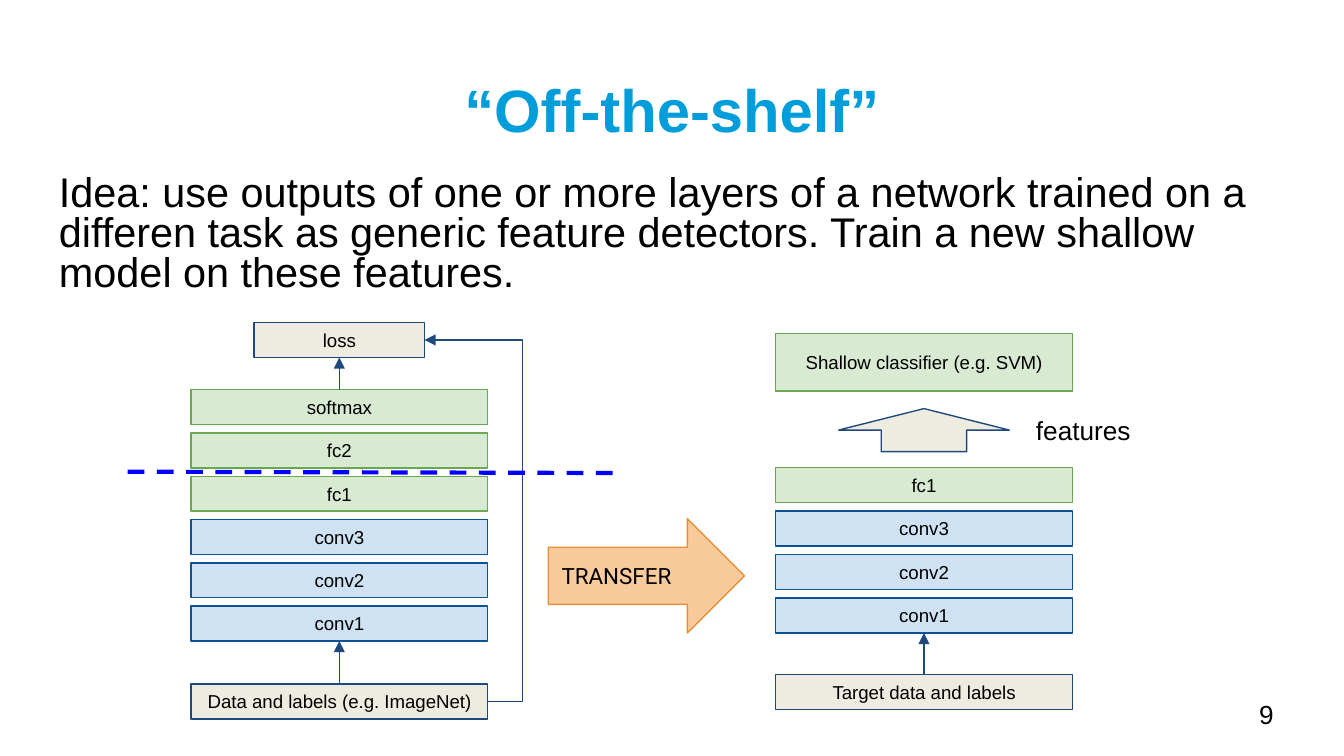
from dataclasses import dataclass

from lxml.etree import SubElement
from pptx import Presentation
from pptx.dml.color import RGBColor
from pptx.enum.dml import MSO_LINE
from pptx.enum.shapes import MSO_CONNECTOR, MSO_SHAPE
from pptx.enum.text import MSO_ANCHOR, PP_ALIGN
from pptx.oxml.ns import qn
from pptx.util import Inches, Pt


@dataclass(frozen=True)
class Theme:
    font: str = "Arial"
    arrow_font: str = "Roboto"
    text: str = "000000"
    title: str = "009DDB"
    cut: str = "0000FF"
    dense: tuple = ("D9EAD3", "6AA84F")
    conv: tuple = ("CFE2F3", "0B5394")
    data: tuple = ("EEECE1", "1F497D")
    transfer: tuple = ("F9CB9C", "E69138")
    title_size: float = 32
    body_size: float = 22.2
    note_size: float = 14
    arrow_size: float = 12
    label_size: float = 10
    thin: float = 0.75
    thick: float = 2.25


THEME = Theme()
LAYER_WIDTH = 2.21
LAYER_HEIGHT = 0.26


def write(shape, text, size, color=THEME.text, font=THEME.font, bold=False,
          align=PP_ALIGN.LEFT, anchor=MSO_ANCHOR.MIDDLE, inset=(0.1, 0.1), spacing=None):
    frame = shape.text_frame
    frame.word_wrap = True
    frame.vertical_anchor = anchor
    frame.margin_left = frame.margin_right = Inches(inset[0])
    frame.margin_top = frame.margin_bottom = Inches(inset[1])
    para = frame.paragraphs[0]
    para.alignment = align
    para.line_spacing = spacing
    span = para.add_run()
    span.text = text
    span.font.size = Pt(size)
    span.font.name = font
    span.font.bold = bold
    span.font.color.rgb = RGBColor.from_string(color)


def add_text(page, area, text, size, **style):
    box = page.shapes.add_textbox(*map(Inches, area))
    write(box, text, size, **style)


def add_block(page, kind, area, colors):
    block = page.shapes.add_shape(kind, *map(Inches, area))
    block.shadow.inherit = False
    fill, line = colors
    block.fill.solid()
    block.fill.fore_color.rgb = RGBColor.from_string(fill)
    block.line.color.rgb = RGBColor.from_string(line)
    block.line.width = Pt(THEME.thin)
    return block


def add_layer(page, left, top, text, colors, width=LAYER_WIDTH, height=LAYER_HEIGHT):
    layer = add_block(page, MSO_SHAPE.RECTANGLE, (left, top, width, height), colors)
    write(layer, text, THEME.label_size, align=PP_ALIGN.CENTER)


def add_stack(page, left, first_top, last_top, names):
    pitch = (last_top - first_top) / (len(names) - 1)
    for index, name in enumerate(names):
        colors = THEME.conv if name.startswith("conv") else THEME.dense
        add_layer(page, left, first_top + index * pitch, name, colors)


def add_line(page, start, end, color, width, kind=MSO_CONNECTOR.STRAIGHT):
    line = page.shapes.add_connector(kind, *map(Inches, (*start, *end)))
    line.line.color.rgb = RGBColor.from_string(color)
    line.line.width = Pt(width)
    SubElement(line._element.spPr, qn("a:effectLst"))
    return line


def add_arrow(page, start, end, kind=MSO_CONNECTOR.STRAIGHT):
    arrow = add_line(page, start, end, THEME.data[1], THEME.thin, kind)
    SubElement(arrow.line._get_or_add_ln(), qn("a:tailEnd"), type="triangle")
    return arrow


def add_label_path(page, start, end, bend):
    arrow = add_arrow(page, start, end, MSO_CONNECTOR.ELBOW)
    geometry = arrow._element.spPr.find(qn("a:prstGeom"))
    guides = geometry.find(qn("a:avLst"))
    if guides is None:
        guides = SubElement(geometry, qn("a:avLst"))
    SubElement(guides, qn("a:gd"), name="adj1", fmla=f"val {round(bend * 100000)}")


def add_source_network(page):
    left = 1.42
    center = left + LAYER_WIDTH / 2
    add_stack(page, left, 2.9, 4.51, ["softmax", "fc2", "fc1", "conv3", "conv2", "conv1"])
    add_layer(page, 1.89, 2.4, "loss", THEME.data, width=1.27)
    add_layer(page, left, 5.09, "Data and labels (e.g. ImageNet)", THEME.data)
    add_arrow(page, (center, 5.09), (center, 4.77))
    add_arrow(page, (center, 2.9), (center, 2.66))
    add_label_path(page, (3.63, 5.22), (3.16, 2.53), -0.55)
    cut = add_line(page, (0.95, 3.51), (4.61, 3.52), THEME.cut, THEME.thick)
    cut.line.dash_style = MSO_LINE.DASH


def add_target_network(page):
    left = 5.77
    center = left + LAYER_WIDTH / 2
    add_layer(page, left, 2.48, "Shallow classifier (e.g. SVM)", THEME.dense, height=0.43)
    add_block(page, MSO_SHAPE.UP_ARROW, (6.24, 3.04, 1.27, 0.32), THEME.data)
    add_text(page, (7.61, 2.98, 1.13, 0.43), "features", THEME.note_size,
             anchor=MSO_ANCHOR.TOP)
    add_stack(page, left, 3.48, 4.45, ["fc1", "conv3", "conv2", "conv1"])
    add_layer(page, left, 5.02, "Target data and labels", THEME.data)
    add_arrow(page, (center, 5.02), (center, 4.71))


def main():
    deck = Presentation()
    deck.slide_width = Inches(10)
    deck.slide_height = Inches(10 * 9 / 16)
    page = deck.slides.add_slide(deck.slide_layouts[6])
    add_text(page, (0.34, 0.49, 9.32, 0.63), "“Off-the-shelf”", THEME.title_size,
             color=THEME.title, bold=True, align=PP_ALIGN.CENTER, inset=(0, 0))
    add_text(page, (0.34, 1.26, 9.32, 0.99),
             "Idea: use outputs of one or more layers of a network trained on a "
             "differen task as generic feature detectors. Train a new shallow "
             "model on these features.",
             THEME.body_size, anchor=MSO_ANCHOR.TOP, inset=(0.1, 0.05), spacing=0.8)
    add_source_network(page)
    transfer = add_block(page, MSO_SHAPE.RIGHT_ARROW, (4.08, 3.86, 1.46, 0.85), THEME.transfer)
    write(transfer, "TRANSFER", THEME.arrow_size, font=THEME.arrow_font)
    add_target_network(page)
    add_text(page, (9.27, 5.1, 0.6, 0.43), "9", THEME.note_size)
    deck.save("out.pptx")


if __name__ == "__main__":
    main()
